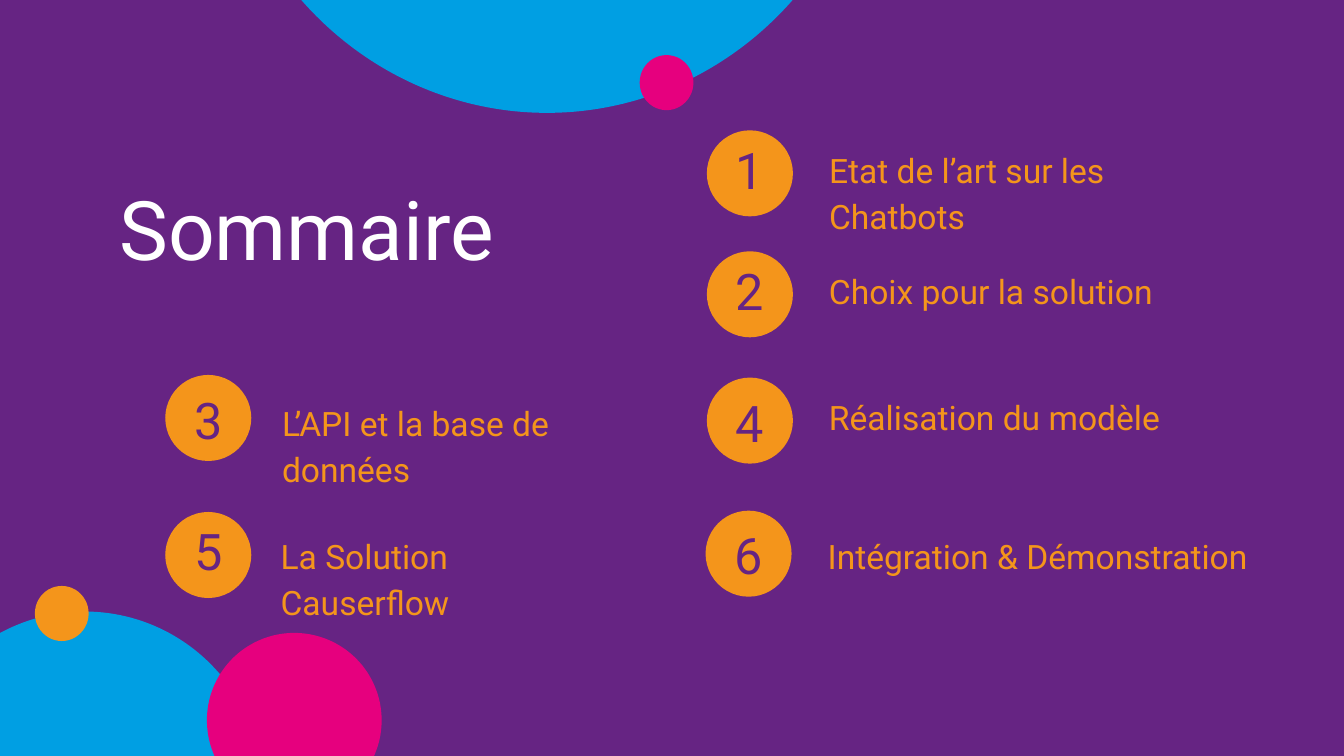
import math

import pptx
import pptx.dml.color
import pptx.enum.shapes
import pptx.enum.text
import pptx.util

Inches = pptx.util.Inches

COLORS = {
    "purple": "662483",
    "blue": "009FE3",
    "pink": "E6007E",
    "orange": "F4951B",
    "white": "FFFFFF",
}
FONT = "Roboto"
PAGE_WIDTH = 10
PAGE_HEIGHT = PAGE_WIDTH * 9 / 16
BADGE = 0.64
NUMBER_WIDTH, NUMBER_HEIGHT = 0.88, 0.62
LABEL_HEIGHT = 0.41

# left, top, width, height, color
BUBBLES = [
    (-0.7, 4.55, 2.66, 2.69, "blue"),
    (1.6, -4.29, 4.94, 5.13, "blue"),
    (4.76, 0.41, 0.4, 0.41, "pink"),
    (0.26, 4.36, 0.4, 0.41, "orange"),
]
# center x, center y, radius of the circle cut by the bottom edge
CUT_CIRCLE = (2.19, 5.36, 0.65)

# label, badge left, badge top, number top, label left, label top, label width, line spacing
TOPICS = [
    ("Etat de l’art sur les Chatbots", 5.26, 0.97, 0.98, 6.07, 0.97, 3.25, 1.15),
    ("Choix pour la solution", 5.26, 1.87, 1.88, 6.07, 1.87, 2.76, 1.15),
    ("L’API et la base de données", 1.23, 2.79, 2.84, 2, 2.85, 3.01, 1.15),
    ("Réalisation du modèle", 5.26, 2.81, 2.86, 6.07, 2.85, 3.56, 1),
    ("La Solution Causerflow", 1.23, 3.81, 3.81, 1.99, 3.84, 2.5, 1.15),
    ("Intégration & Démonstration", 5.25, 3.8, 3.84, 6.06, 3.84, 3.35, 1.15),
]


def rgb(name):
    return pptx.dml.color.RGBColor.from_string(COLORS[name])


def paint(shape, color):
    shape.shadow.inherit = False
    shape.fill.solid()
    shape.fill.fore_color.rgb = rgb(color)
    shape.line.fill.background()


def add_ellipse(page, left, top, width, height, color):
    oval = pptx.enum.shapes.MSO_SHAPE.OVAL
    shape = page.shapes.add_shape(
        oval, Inches(left), Inches(top), Inches(width), Inches(height))
    paint(shape, color)


def add_cut_circle(page, center_x, center_y, radius, color, steps=120):
    """Draw the part of a circle that lies above the bottom edge of the page."""
    start = math.pi - math.asin((PAGE_HEIGHT - center_y) / radius)
    sweep = 3 * math.pi - 2 * start
    angles = [start + sweep * step / steps for step in range(steps + 1)]
    points = [(Inches(center_x + radius * math.cos(angle)),
               Inches(center_y + radius * math.sin(angle))) for angle in angles]
    builder = page.shapes.build_freeform(*points[0])
    builder.add_line_segments(points[1:], close=True)
    paint(builder.convert_to_shape(), color)


def add_text(page, text, left, top, width, height, *, size, color,
             centered=False, middle=False, spacing=1):
    box = page.shapes.add_textbox(
        Inches(left), Inches(top), Inches(width), Inches(height))
    frame = box.text_frame
    frame.word_wrap = True
    frame.margin_left = frame.margin_right = Inches(0.1)
    frame.margin_top = frame.margin_bottom = Inches(0.1)
    anchors = pptx.enum.text.MSO_ANCHOR
    frame.vertical_anchor = anchors.MIDDLE if middle else anchors.TOP
    para = frame.paragraphs[0]
    aligns = pptx.enum.text.PP_ALIGN
    para.alignment = aligns.CENTER if centered else aligns.LEFT
    para.line_spacing = float(spacing)
    span = para.add_run()
    span.text = text
    span.font.name = FONT
    span.font.size = pptx.util.Pt(size)
    span.font.color.rgb = rgb(color)


def main():
    deck = pptx.Presentation()
    deck.slide_width, deck.slide_height = Inches(PAGE_WIDTH), Inches(PAGE_HEIGHT)
    page = deck.slides.add_slide(deck.slide_layouts[6])
    page.background.fill.solid()
    page.background.fill.fore_color.rgb = rgb("purple")

    for bubble in BUBBLES:
        add_ellipse(page, *bubble)
    add_cut_circle(page, *CUT_CIRCLE, "pink")

    add_text(page, "Sommaire", 0.79, 0.97, 3.56, 1.45,
             size=44, color="white", middle=True)

    for number, topic in enumerate(TOPICS, start=1):
        label, badge_left, badge_top, number_top, left, top, width, spacing = topic
        add_ellipse(page, badge_left, badge_top, BADGE, BADGE, "orange")
        number_left = badge_left - (NUMBER_WIDTH - BADGE) / 2
        add_text(page, str(number), number_left, number_top,
                 NUMBER_WIDTH, NUMBER_HEIGHT, size=27, color="purple",
                 centered=True, middle=True, spacing=0.9)
        add_text(page, label, left, top, width, LABEL_HEIGHT,
                 size=18, color="orange", spacing=spacing)

    deck.save("out.pptx")


if __name__ == "__main__":
    main()
